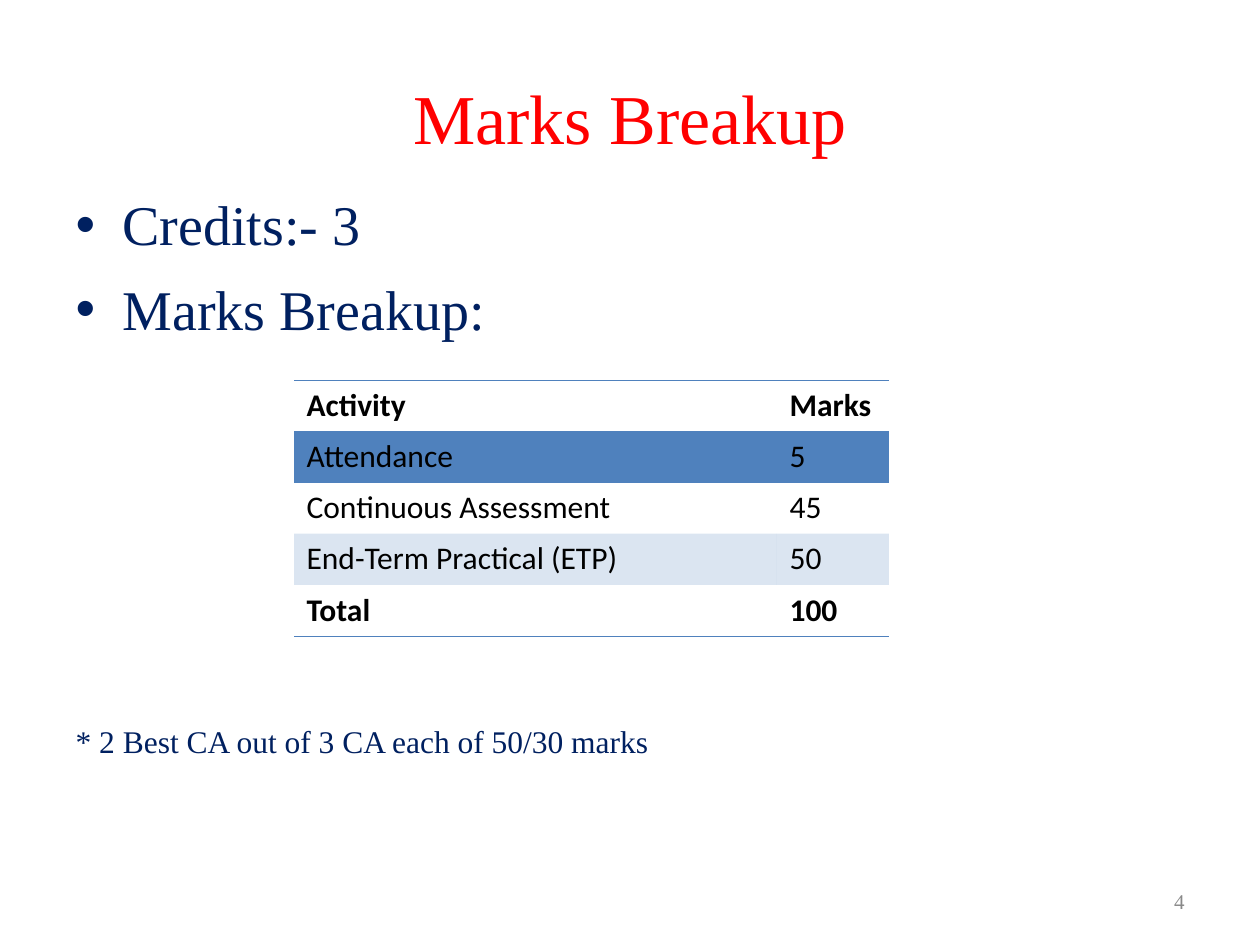
import pptx
import pptx.dml.color
import pptx.enum.text
import pptx.oxml
import pptx.oxml.ns
import pptx.util

RGBColor = pptx.dml.color.RGBColor
Pt = pptx.util.Pt
ALIGN = pptx.enum.text.PP_ALIGN
ANCHOR = pptx.enum.text.MSO_ANCHOR

PX_PER_INCH = 126
SERIF, SANS = "Times New Roman", "Calibri"
RED = RGBColor(0xFF, 0x00, 0x00)
NAVY = RGBColor(0x00, 0x20, 0x60)
BLUE = RGBColor(0x4F, 0x81, 0xBD)
BLACK = RGBColor(0x00, 0x00, 0x00)
GREY = RGBColor(0x89, 0x89, 0x89)

NO_STYLE_NO_GRID = "{2D5ABB26-0587-4C30-8999-92F81FD0307C}"
MARKS = [
    ("Activity", "Marks"),
    ("Attendance", "5"),
    ("Continuous Assessment", "45"),
    ("End-Term Practical (ETP)", "50"),
    ("Total", "100"),
]


def px(length):
    return pptx.util.Emu(round(length * 914400 / PX_PER_INCH))


def place(shape, box):
    shape.left, shape.top, shape.width, shape.height = map(px, box)


def add_run(paragraph, text, size, color, font=SERIF, bold=False):
    run = paragraph.add_run()
    run.text = text
    run.font.name, run.font.size, run.font.bold = font, Pt(size), bold
    run.font.color.rgb = color


def add_xml(parent, xml):
    namespace = pptx.oxml.ns.nsdecls("a")
    parent.append(pptx.oxml.parse_xml(xml.replace(">", f" {namespace}>", 1)))


def fill_title(slide, box):
    title = slide.shapes.title
    place(title, box)
    frame = title.text_frame
    frame.auto_size = pptx.enum.text.MSO_AUTO_SIZE.NONE
    frame.vertical_anchor = ANCHOR.MIDDLE
    paragraph = frame.paragraphs[0]
    paragraph.alignment = ALIGN.CENTER
    add_run(paragraph, "Marks Breakup", 40, RED)


def fill_body(slide, box):
    """Write the bullets and, below the room for the table, the footnote."""
    body = slide.placeholders[1]
    place(body, box)
    frame = body.text_frame
    frame.auto_size = pptx.enum.text.MSO_AUTO_SIZE.NONE
    frame.margin_top = px(11)
    lines = [
        ("Credits:- 3", 32, 0, True),
        ("Marks Breakup:", 32, 10, True),
        ("* 2 Best CA out of 3 CA each of 50/30 marks", 18, 217, False),
    ]
    for index, (text, size, space_before, bulleted) in enumerate(lines):
        paragraph = frame.add_paragraph() if index else frame.paragraphs[0]
        paragraph.space_before = Pt(space_before)
        properties = paragraph._p.get_or_add_pPr()
        properties.set("marL", str(px(47)))
        properties.set("indent", str(px(-47)))
        if bulleted:
            add_xml(properties, f'<a:buClr><a:srgbClr val="{NAVY}"/></a:buClr>')
            add_xml(properties, '<a:buFont typeface="Arial"></a:buFont>')
            add_xml(properties, '<a:buChar char="•"></a:buChar>')
        else:
            add_xml(properties, "<a:buNone></a:buNone>")
        add_run(paragraph, text, size, NAVY)


def add_border(cell, side):
    add_xml(
        cell._tc.get_or_add_tcPr(),
        f'<a:ln{side} w="{Pt(0.45)}"><a:solidFill><a:srgbClr val="{BLUE}"/>'
        f"</a:solidFill></a:ln{side}>",
    )


def shade(cell):
    cell.fill.solid()
    cell.fill.fore_color.rgb = BLUE
    color = cell._tc.tcPr.find(".//" + pptx.oxml.ns.qn("a:srgbClr"))
    add_xml(color, '<a:alpha val="20000"></a:alpha>')


def add_marks_table(slide, box):
    frame = slide.shapes.add_table(len(MARKS), 2, *map(px, box))
    table = frame.table
    table.first_row = table.horz_banding = False
    style = table._tbl.tblPr.find(pptx.oxml.ns.qn("a:tableStyleId"))
    style.text = NO_STYLE_NO_GRID
    marks_width = 112
    table.columns[0].width = px(box[2] - marks_width)
    table.columns[1].width = px(marks_width)
    last = len(MARKS) - 1
    for row, texts in enumerate(MARKS):
        table.rows[row].height = px(box[3] / len(MARKS))
        for column, text in enumerate(texts):
            cell = table.cell(row, column)
            if row in (0, 1):
                add_border(cell, "T")
            if row in (0, last):
                add_border(cell, "B")
            if row % 2:
                shade(cell)
            else:
                cell.fill.background()
            paragraph = cell.text_frame.paragraphs[0]
            add_run(paragraph, text, 18, BLACK, SANS, bold=row in (0, last))


def add_page_number(slide, box):
    frame = slide.shapes.add_textbox(*map(px, box)).text_frame
    frame.word_wrap = True
    frame.vertical_anchor = ANCHOR.MIDDLE
    paragraph = frame.paragraphs[0]
    paragraph.alignment = ALIGN.RIGHT
    add_run(paragraph, "4", 12, GREY)


def main():
    presentation = pptx.Presentation()
    presentation.slide_width, presentation.slide_height = px(1260), px(945)
    slide = presentation.slides.add_slide(presentation.slide_layouts[1])
    fill_title(slide, (63, 38, 1134, 157))
    fill_body(slide, (63, 179, 1134, 659))
    add_marks_table(slide, (294, 380, 595, 256))
    add_page_number(slide, (903, 876, 294, 50))
    presentation.save("out.pptx")


if __name__ == "__main__":
    main()
